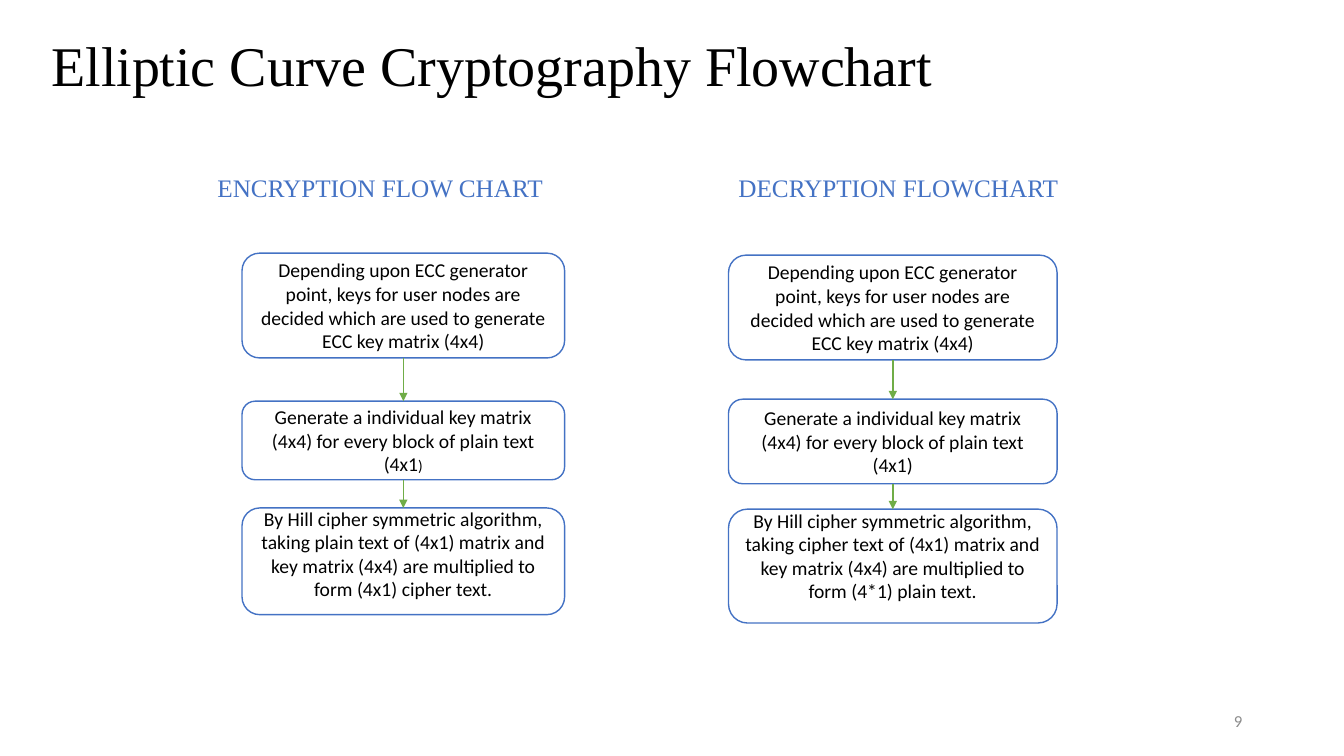
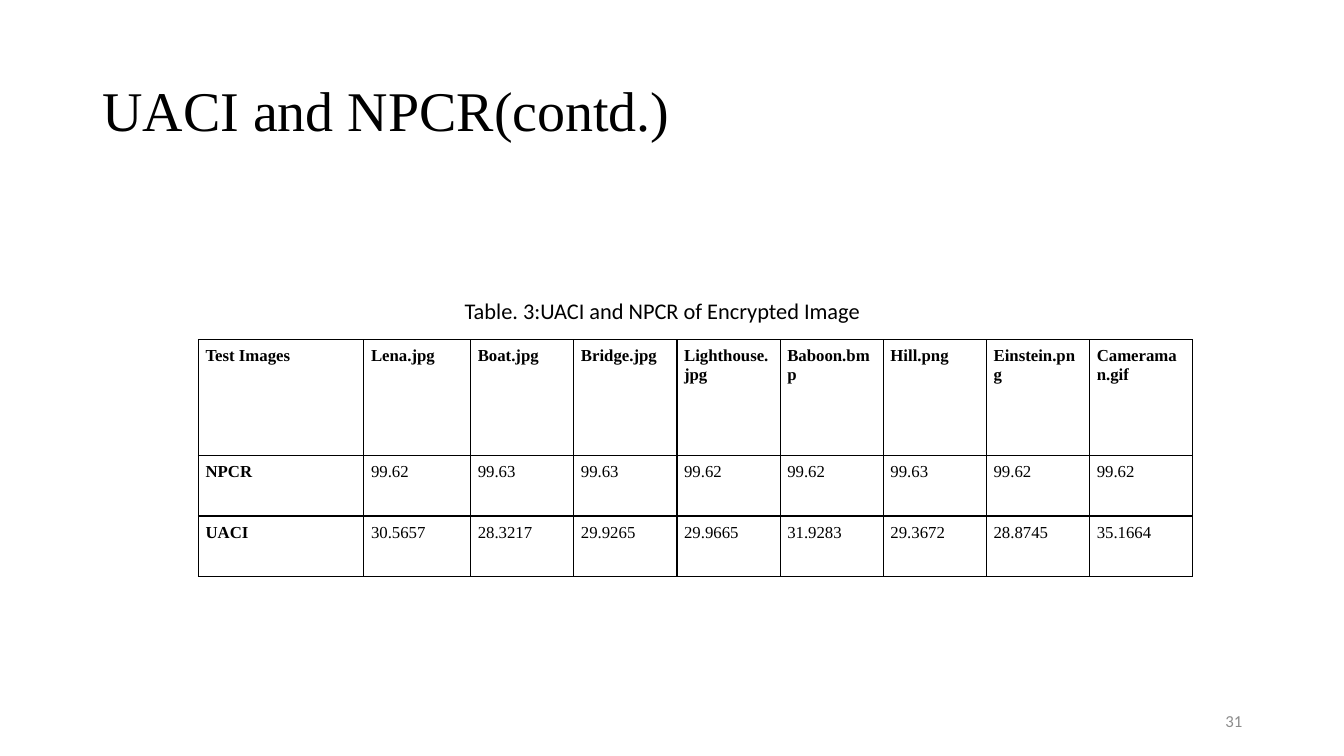
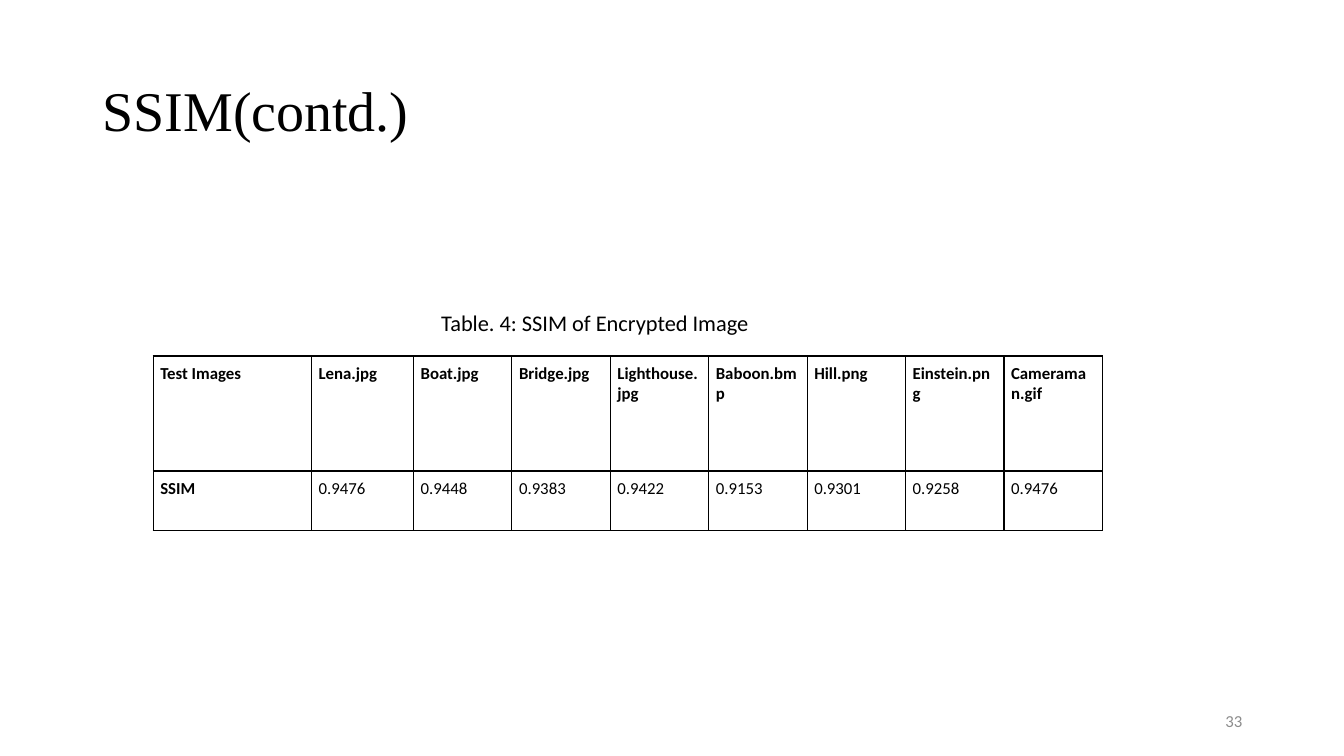
from lxml.etree import SubElement
from pptx import Presentation
from pptx.dml.color import RGBColor
from pptx.enum.shapes import MSO_CONNECTOR, MSO_SHAPE
from pptx.enum.text import MSO_ANCHOR, PP_ALIGN
from pptx.oxml.ns import qn
from pptx.util import Cm, Pt

SERIF, SANS = "Times New Roman", "Calibri"
BLACK, WHITE, GREY, BLUE, GREEN = "000000", "FFFFFF", "8C8C8C", "4472C4", "70AD47"
color = RGBColor.from_string


def format_text(frame, font, size, hue, align=PP_ALIGN.LEFT, bold=False):
    """Give every run of a text frame the same look."""
    frame.word_wrap = True
    for para in frame.paragraphs:
        para.alignment = align
        for span in para.runs:
            span.font.name, span.font.size, span.font.bold = font, Pt(size), bold
            span.font.color.rgb = color(hue)


def add_label(page, text, place, *look):
    """Add a text box at (left, top, width, height) in centimetres."""
    box = page.shapes.add_textbox(*map(Cm, place))
    box.text_frame.text = text
    format_text(box.text_frame, *look)
    return box


deck = Presentation()
deck.slide_width, deck.slide_height = Cm(33.87), Cm(19.05)

# Titles and page numbers
wide_title = (2.33, 1.01, 29.21, 3.68)
pages = []
for heading, place, number in [
    ("Elliptic Curve Cryptography Flowchart", (1.04, 0.71, 23.04, 2.01), "9"),
    ("UACI and NPCR(contd.)", wide_title, "31"),
    ("SSIM(contd.)", wide_title, "33"),
]:
    page = deck.slides.add_slide(deck.slide_layouts[5])
    title = page.shapes.title
    title.left, title.top, title.width, title.height = map(Cm, place)
    title.text_frame.text = heading
    title.text_frame.vertical_anchor = MSO_ANCHOR.MIDDLE
    title.text_frame.paragraphs[0].line_spacing = 0.9
    format_text(title.text_frame, SERIF, 40, BLACK)
    footer = add_label(page, number, (23.94, 17.65, 7.62, 1.02),
                       SANS, 12, GREY, PP_ALIGN.RIGHT)
    footer.text_frame.vertical_anchor = MSO_ANCHOR.MIDDLE
    pages.append(page)
flow_page, uaci_page, ssim_page = pages

# Flowcharts: each step is (top, height, bottom inset, text pieces)
keys_step = ["Depending upon ECC generator point, keys for user nodes are decided "
             "which are used to generate ECC key matrix (4x4)"]
block_step = "Generate a individual key matrix (4x4) for every block of plain text (4x1"
hill_step = ("By Hill cipher symmetric algorithm, taking {} text of (4x1) matrix and "
             "key matrix (4x4) are multiplied to form {} text.")
flowcharts = [
    ("ENCRYPTION FLOW CHART", 5.23, 6.1, 8.13, [
        (6.38, 2.64, 0.13, keys_step),
        (10.11, 1.98, 0.13, [block_step, ")"]),
        (12.8, 2.69, 0.5, [hill_step.format("plain", "(4x1) cipher")]),
    ]),
    ("DECRYPTION FLOWCHART", 18.36, 18.36, 8.28, [
        (6.43, 2.64, 0.13, keys_step),
        (10.06, 2.13, 0.13, [block_step + ")"]),
        (12.83, 2.87, 0.65, [hill_step.format("cipher", "(4*1) plain")]),
    ]),
]
for heading, heading_left, left, width, steps in flowcharts:
    add_label(flow_page, heading, (heading_left, 4.22, 16.93, 1.02), SERIF, 18, BLUE)
    previous = None
    for top, height, bottom_inset, pieces in steps:
        box = flow_page.shapes.add_shape(MSO_SHAPE.FLOWCHART_ALTERNATE_PROCESS,
                                         Cm(left), Cm(top), Cm(width), Cm(height))
        box.shadow.inherit = False
        box.fill.solid()
        box.fill.fore_color.rgb = color(WHITE)
        box.line.color.rgb = color(BLUE)
        box.line.width = Pt(1)
        frame = box.text_frame
        frame.vertical_anchor = MSO_ANCHOR.MIDDLE
        frame.margin_bottom = Cm(bottom_inset)
        for piece in pieces:
            frame.paragraphs[0].add_run().text = piece
        format_text(frame, SANS, 14, BLACK, PP_ALIGN.CENTER)
        for small_span in frame.paragraphs[0].runs[1:]:
            small_span.font.size = Pt(11)
        if previous is not None:
            arrow = flow_page.shapes.add_connector(MSO_CONNECTOR.STRAIGHT, 0, 0, 0, 0)
            arrow.begin_connect(previous, 2)
            arrow.end_connect(box, 0)
            arrow.line.color.rgb = color(GREEN)
            arrow.line.width = Pt(1)
            SubElement(arrow.line._get_or_add_ln(), qn("a:tailEnd"), type="triangle")
            SubElement(arrow._element.spPr, qn("a:effectLst"))
        previous = box

# Result tables with their captions
header = ["Test Images", "Lena.jpg", "Boat.jpg", "Bridge.jpg", "Lighthouse.jpg",
          "Baboon.bmp", "Hill.png", "Einstein.png", "Cameraman.gif"]
npcr = ["NPCR", "99.62", "99.63", "99.63", "99.62", "99.62", "99.63", "99.62", "99.62"]
uaci = ["UACI", "30.5657", "28.3217", "29.9265", "29.9665", "31.9283", "29.3672",
        "28.8745", "35.1664"]
ssim = ["SSIM", "0.9476", "0.9448", "0.9383", "0.9422", "0.9153", "0.9301", "0.9258",
        "0.9476"]
results = [
    (uaci_page, "Table. 3:UACI and NPCR of Encrypted Image", (11.46, 7.37), (5, 8.56),
     SERIF, [4.17, 2.69] + [2.6] * 7, [2.92, 1.52, 1.52], [header, npcr, uaci]),
    (ssim_page, "Table. 4: SSIM of Encrypted Image", (10.87, 7.67), (3.86, 8.97),
     SANS, [3.99, 2.57] + [2.48] * 7, [2.9, 1.5], [header, ssim]),
]
for page, caption, caption_at, table_at, font, widths, heights, rows in results:
    table = page.shapes.add_table(len(rows), len(header), *map(Cm, table_at),
                                  Cm(sum(widths)), Cm(sum(heights))).table
    for column, width in zip(table.columns, widths):
        column.width = Cm(width)
    for row_index, (row, height) in enumerate(zip(rows, heights)):
        table.rows[row_index].height = Cm(height)
        for column_index, value in enumerate(row):
            cell = table.cell(row_index, column_index)
            cell.margin_left = cell.margin_right = Cm(0.18)
            cell.margin_top = cell.margin_bottom = Cm(0.18)
            cell.text_frame.text = value
            format_text(cell.text_frame, font, 12, BLACK,
                        bold=row_index == 0 or column_index == 0)
            for side in ("a:lnL", "a:lnR", "a:lnT", "a:lnB"):
                border = SubElement(cell._tc.get_or_add_tcPr(), qn(side), w=str(Pt(1)))
                fill = SubElement(border, qn("a:solidFill"))
                SubElement(fill, qn("a:srgbClr"), val=BLACK)
            cell.fill.background()
    add_label(page, caption, (*caption_at, 13.67, 0.94), SANS, 16, BLACK)

deck.save("out.pptx")
